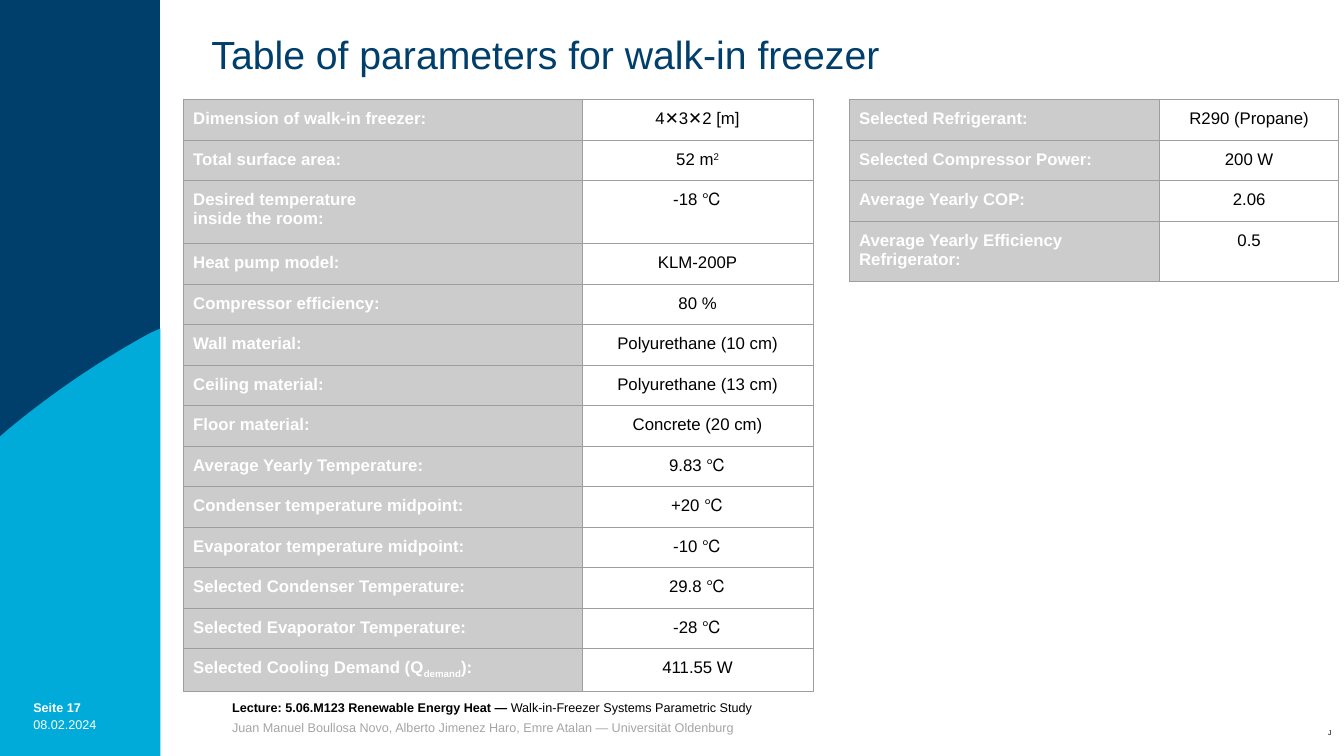
from dataclasses import dataclass

from lxml import etree
from pptx import Presentation
from pptx import util as u
from pptx.dml import color
from pptx.enum import text
from pptx.oxml import ns


@dataclass(frozen=True)
class Theme:
    font: str = "Arial"
    navy: str = "003F6B"
    cyan: str = "00ABDA"
    white: str = "FFFFFF"
    black: str = "000000"
    muted: str = "A5A5A5"
    label_fill: str = "CCCCCC"
    border: str = "9E9E9E"
    title_size: float = 28
    table_size: float = 12
    footer_size: float = 9
    tiny_size: float = 5
    border_width: float = 0.75


THEME = Theme()


@dataclass(frozen=True)
class Run:
    text: str
    size: float
    color: str
    bold: bool = False
    baseline: int = 0


@dataclass(frozen=True)
class TextBlock:
    left: float
    top: float
    width: float
    height: float
    lines: list[list[Run]]
    inset: float = 0
    spacing: float = 1.33


@dataclass(frozen=True)
class Parameter:
    label: str
    value: str
    height: float = 1.02
    label_subscript: str = ""
    label_end: str = ""
    value_superscript: str = ""


@dataclass(frozen=True)
class ParameterTable:
    left: float
    top: float
    columns: tuple[float, float]
    rows: list[Parameter]


SLIDE_WIDTH, SLIDE_HEIGHT = 33.87, 19.05
BAND_WIDTH = 4.04
CELL_INSET = 0.25
TABLE_TOP = 2.51
ARC = ((0.23, 10.8), (1.35, 9.88), (2.54, 9.07), (3.81, 8.38))
ARC_STEPS = 24

ROOM_TABLE = ParameterTable(4.62, TABLE_TOP, (10.05, 5.82), [
    Parameter("Dimension of walk-in freezer:", "4✕3✕2 [m]"),
    Parameter("Total surface area:", "52 m", value_superscript="2"),
    Parameter("Desired temperature\ninside the room:", "-18 ℃", height=1.59),
    Parameter("Heat pump model:", "KLM-200P"),
    Parameter("Compressor efficiency:", "80 %"),
    Parameter("Wall material:", "Polyurethane (10 cm)"),
    Parameter("Ceiling material:", "Polyurethane (13 cm)"),
    Parameter("Floor material:", "Concrete (20 cm)"),
    Parameter("Average Yearly Temperature:", "9.83 ℃"),
    Parameter("Condenser temperature midpoint:", "+20 ℃"),
    Parameter("Evaporator temperature midpoint:", "-10 ℃"),
    Parameter("Selected Condenser Temperature:", "29.8 ℃"),
    Parameter("Selected Evaporator Temperature:", "-28 ℃"),
    Parameter("Selected Cooling Demand (Q", "411.55 W", height=1.08,
              label_subscript="demand", label_end="):"),
])

REFRIGERANT_TABLE = ParameterTable(21.4, TABLE_TOP, (7.82, 4.52), [
    Parameter("Selected Refrigerant:", "R290 (Propane)"),
    Parameter("Selected Compressor Power:", "200 W"),
    Parameter("Average Yearly COP:", "2.06"),
    Parameter("Average Yearly Efficiency Refrigerator:", "0.5", height=1.52),
])

TEXT_BLOCKS = [
    TextBlock(0.84, 17.5, 2.9, 0.41,
              [[Run("Seite 17", THEME.footer_size, THEME.white, bold=True)]]),
    TextBlock(5.85, 17.5, 23.9, 1.02, [
        [Run("Lecture: 5.06.M123 Renewable Energy Heat — ",
             THEME.footer_size, THEME.black, bold=True),
         Run("Walk-in-Freezer Systems Parametric Study", THEME.footer_size, THEME.black)],
        [Run("Juan Manuel Boullosa Novo, Alberto Jimenez Haro, Emre Atalan — "
             "Universität Oldenburg", THEME.footer_size, THEME.muted)],
    ]),
    TextBlock(0.84, 17.93, 2.49, 0.58,
              [[Run("08.02.2024", THEME.footer_size, THEME.white)]]),
    TextBlock(5.08, 0.64, 24.1, 1.6,
              [[Run("Table of parameters for walk-in freezer", THEME.title_size, THEME.navy)]],
              inset=CELL_INSET, spacing=0.9),
    TextBlock(33.22, 18.26, 0.65, 0.79,
              [[Run("J", THEME.tiny_size, THEME.black)]], inset=CELL_INSET, spacing=1),
]


def fill_text(frame, lines: list[list[Run]], alignment=text.PP_ALIGN.LEFT,
              spacing: float = 1) -> None:
    for index, line in enumerate(lines):
        paragraph = frame.paragraphs[0] if index == 0 else frame.add_paragraph()
        paragraph.alignment = alignment
        paragraph.line_spacing = spacing
        for item in line:
            run = paragraph.add_run()
            run.text = item.text
            run.font.name = THEME.font
            run.font.size = u.Pt(item.size)
            run.font.bold = item.bold
            run.font.color.rgb = color.RGBColor.from_string(item.color)
            if item.baseline:
                run.font._element.set("baseline", str(item.baseline * 1000))


def draw_text(slide, block: TextBlock) -> None:
    shape = slide.shapes.add_textbox(u.Cm(block.left), u.Cm(block.top),
                                     u.Cm(block.width), u.Cm(block.height))
    frame = shape.text_frame
    frame.word_wrap = True
    frame.margin_left = frame.margin_right = u.Cm(block.inset)
    frame.margin_top = frame.margin_bottom = u.Cm(block.inset)
    fill_text(frame, block.lines, spacing=block.spacing)


def draw_outline(slide, points: list[tuple[float, float]], fill: str) -> None:
    corners = [(u.Cm(x), u.Cm(y)) for x, y in points]
    builder = slide.shapes.build_freeform(*corners[0])
    builder.add_line_segments(corners[1:], close=True)
    shape = builder.convert_to_shape()
    shape.shadow.inherit = False
    shape.fill.solid()
    shape.fill.fore_color.rgb = color.RGBColor.from_string(fill)
    shape.line.fill.background()


def arc_point(t: float) -> tuple[float, float]:
    weights = ((1 - t) ** 3, 3 * t * (1 - t) ** 2, 3 * t ** 2 * (1 - t), t ** 3)
    x, y = (sum(w * p[axis] for w, p in zip(weights, ARC)) for axis in (0, 1))
    return x, y


def draw_band(slide) -> None:
    draw_outline(slide, [(0, 0), (BAND_WIDTH, 0), (BAND_WIDTH, SLIDE_HEIGHT),
                         (0, SLIDE_HEIGHT)], THEME.navy)
    curve = [arc_point(step / ARC_STEPS) for step in range(ARC_STEPS + 1)]
    draw_outline(slide, [(BAND_WIDTH, 8.28), (BAND_WIDTH, SLIDE_HEIGHT),
                         (0, SLIDE_HEIGHT), (0, 11), *curve], THEME.cyan)


def add_borders(cell) -> None:
    properties = cell._tc.get_or_add_tcPr()
    for side in ("a:lnL", "a:lnR", "a:lnT", "a:lnB"):
        line = etree.SubElement(properties, ns.qn(side), w=str(u.Pt(THEME.border_width)))
        fill = etree.SubElement(line, ns.qn("a:solidFill"))
        etree.SubElement(fill, ns.qn("a:srgbClr"), val=THEME.border)


def label_lines(row: Parameter) -> list[list[Run]]:
    lines = [[Run(part, THEME.table_size, THEME.white, bold=True)]
             for part in row.label.split("\n")]
    if row.label_subscript:
        lines[-1] += [Run(row.label_subscript, THEME.table_size, THEME.white, True, -25),
                      Run(row.label_end, THEME.table_size, THEME.white, True)]
    return lines


def value_lines(row: Parameter) -> list[list[Run]]:
    line = [Run(row.value, THEME.table_size, THEME.black)]
    if row.value_superscript:
        line.append(Run(row.value_superscript, THEME.table_size, THEME.black, baseline=30))
    return [line]


def draw_table(slide, content: ParameterTable) -> None:
    height = sum(row.height for row in content.rows)
    table = slide.shapes.add_table(len(content.rows), 2, u.Cm(content.left), u.Cm(content.top),
                                   u.Cm(sum(content.columns)), u.Cm(height)).table
    table.first_row = table.horz_banding = False
    for column, width in zip(table.columns, content.columns):
        column.width = u.Cm(width)
    for index, row in enumerate(content.rows):
        table.rows[index].height = u.Cm(row.height)
        label, value = table.cell(index, 0), table.cell(index, 1)
        for cell in (label, value):
            cell.margin_left = cell.margin_right = u.Cm(CELL_INSET)
            cell.margin_top = cell.margin_bottom = u.Cm(CELL_INSET)
            add_borders(cell)
        label.fill.solid()
        label.fill.fore_color.rgb = color.RGBColor.from_string(THEME.label_fill)
        value.fill.background()
        fill_text(label.text_frame, label_lines(row))
        fill_text(value.text_frame, value_lines(row), text.PP_ALIGN.CENTER)


def main() -> None:
    presentation = Presentation()
    presentation.slide_width = u.Cm(SLIDE_WIDTH)
    presentation.slide_height = u.Cm(SLIDE_HEIGHT)
    slide = presentation.slides.add_slide(presentation.slide_layouts[6])
    draw_band(slide)
    for block in TEXT_BLOCKS:
        draw_text(slide, block)
    for content in (ROOM_TABLE, REFRIGERANT_TABLE):
        draw_table(slide, content)
    presentation.save("out.pptx")


if __name__ == "__main__":
    main()
